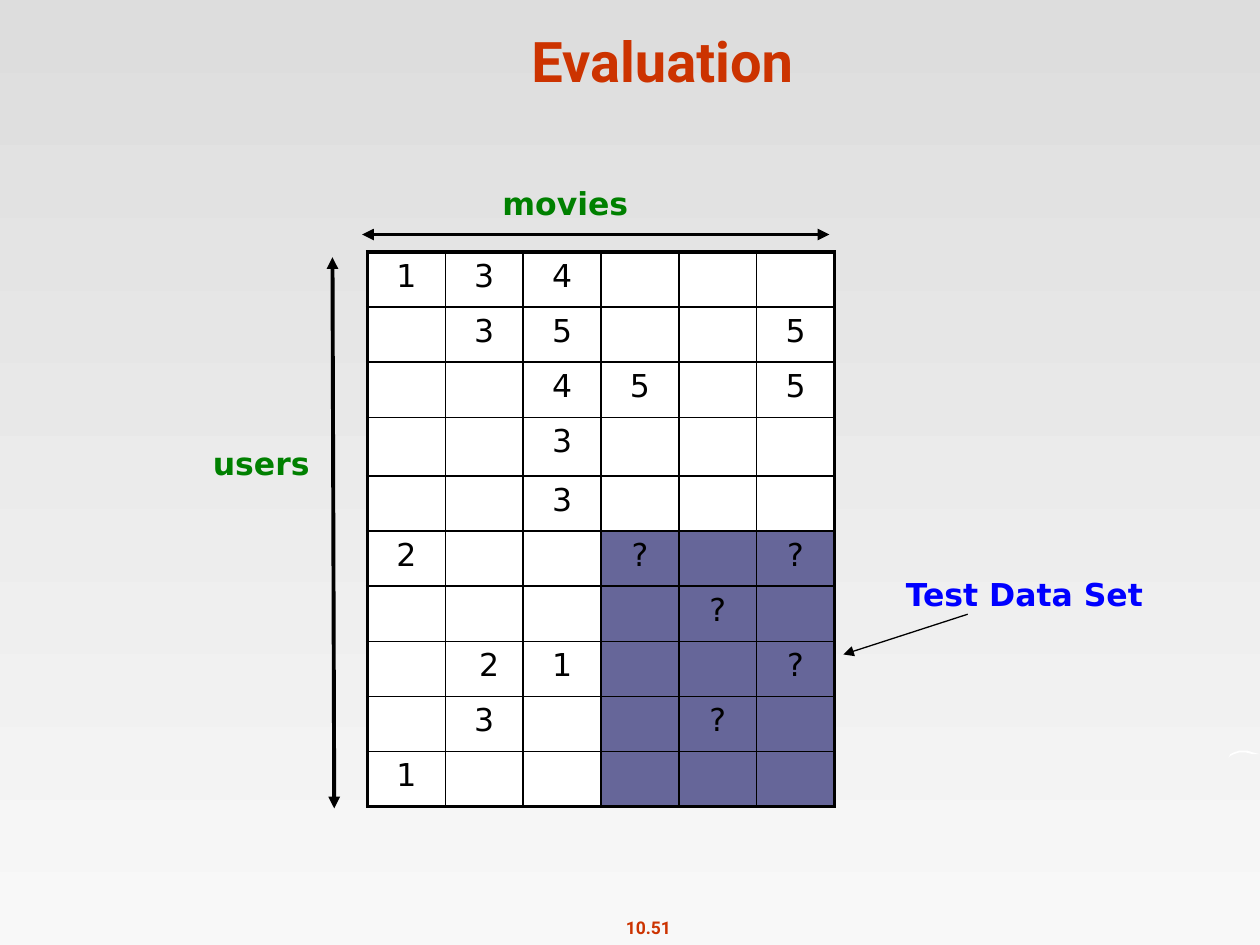
"""Build the Evaluation slide: a user-by-movie rating matrix with its test data set."""
from lxml.etree import SubElement
from pptx import Presentation
from pptx.dml.color import RGBColor
from pptx.enum.shapes import MSO_CONNECTOR as Connector
from pptx.enum.text import MSO_ANCHOR as Anchor, MSO_AUTO_SIZE as AutoSize, PP_ALIGN as Align
from pptx.oxml.ns import qn
from pptx.util import Pt

hex_color = RGBColor.from_string


def write(frame, text, size, font, color, bold=True, align=Align.CENTER):
    paragraph = frame.paragraphs[0]
    paragraph.alignment = align
    run = paragraph.add_run()
    run.text = text
    run.font.size, run.font.name, run.font.bold = Pt(size), font, bold
    run.font.color.rgb = hex_color(color)


prs = Presentation()
prs.slide_width, prs.slide_height = Pt(720), Pt(540)
slide = prs.slides.add_slide(prs.slide_layouts[5])
shapes = slide.shapes

background = slide.background.fill
background.gradient()
background.gradient_angle = 270
for stop, color in zip(background.gradient_stops, ("DDDDDD", "F8F8F8")):
    stop.color.rgb = hex_color(color)

swoosh_points = [
    (702, 432.7), (703, 430.9), (705, 429.6), (707.5, 428.8), (710, 428.6),
    (713, 429.2), (716, 429.9), (720, 430.6), (719.3, 431.3), (716, 430.8),
    (712, 430.1), (708, 430.1), (705, 430.9), (703, 432),
]
builder = shapes.build_freeform(*swoosh_points[0], scale=Pt(1))
builder.add_line_segments(swoosh_points[1:], close=True)
swoosh = builder.convert_to_shape()
swoosh.shadow.inherit = False
swoosh.fill.solid()
swoosh.fill.fore_color.rgb = hex_color("FFFFFF")
swoosh.line.fill.background()

title = shapes.title
title.left, title.top, title.width, title.height = Pt(60.5), Pt(9.4), Pt(636), Pt(48)
title.text_frame.auto_size = AutoSize.NONE
title.text_frame.vertical_anchor = Anchor.BOTTOM
write(title.text_frame, "Evaluation", 32, "Roboto", "CC3300")

ratings = [
    ["1", "3", "4", "", "", ""],
    ["", "3", "5", "", "", "5"],
    ["", "", "4", "5", "", "5"],
    ["", "", "3", "", "", ""],
    ["", "", "3", "", "", ""],
    ["2", "", "", "?", "", "?"],
    ["", "", "", "", "?", ""],
    ["", " 2", "1", "", "", "?"],
    ["", "3", "", "", "?", ""],
    ["1", "", "", "", "", ""],
]
row_count, column_count = len(ratings), len(ratings[0])
matrix = shapes.add_table(row_count, column_count, Pt(210), Pt(144), Pt(267), Pt(317)).table
matrix.first_row = matrix.horz_banding = False
for column in matrix.columns:
    column.width = Pt(44.5)
for r, row in enumerate(ratings):
    matrix.rows[r].height = Pt(33.5 if r == 3 else 31.5)
    for c, rating in enumerate(row):
        cell = matrix.cell(r, c)
        outer_edges = {"L": c == 0, "R": c == column_count - 1, "T": r == 0, "B": r == row_count - 1}
        for side, is_outer in outer_edges.items():
            border = SubElement(cell._tc.get_or_add_tcPr(), qn(f"a:ln{side}"), w=str(Pt(2.25 if is_outer else 1)))
            SubElement(SubElement(border, qn("a:solidFill")), qn("a:srgbClr"), val="000000")
        cell.fill.solid()
        cell.fill.fore_color.rgb = hex_color("666699" if r >= 5 and c >= 3 else "FFFFFF")
        if rating:
            write(cell.text_frame, rating, 18, "DejaVu Sans", "000000", bold=False)
        else:
            cell.text_frame.paragraphs[0].font.size = Pt(18)

labels = [
    ("10.51", 350, 520.5, 41, 19.5, 10, "Roboto", "CC3300", False, Align.CENTER),
    ("Test Data Set", 510.5, 325, 151, 29, 18, "DejaVu Sans", "0000FF", False, Align.LEFT),
    ("users", 79, 250, 140.5, 29, 18, "DejaVu Sans", "008000", True, Align.CENTER),
    ("movies", 280, 101.8, 87, 29, 18, "DejaVu Sans", "008000", False, Align.LEFT),
]
for text, left, top, width, height, size, font, color, wrap, align in labels:
    frame = shapes.add_textbox(Pt(left), Pt(top), Pt(width), Pt(height)).text_frame
    frame.word_wrap = wrap
    frame.auto_size = AutoSize.SHAPE_TO_FIT_TEXT
    write(frame, text, size, font, color, align=align)

arrows = [
    (190, 147, 191, 462, 2.25, ("headEnd", "tailEnd")),
    (207, 134, 474, 134, 2.25, ("headEnd", "tailEnd")),
    (553, 351, 482, 374, 0.75, ("tailEnd",)),
]
for x1, y1, x2, y2, weight, ends in arrows:
    arrow = shapes.add_connector(Connector.STRAIGHT, Pt(x1), Pt(y1), Pt(x2), Pt(y2))
    arrow.line.width = Pt(weight)
    arrow.line.color.rgb = hex_color("000000")
    for end in ends:
        SubElement(arrow.line._get_or_add_ln(), qn(f"a:{end}"), type="triangle")
    SubElement(arrow._element.spPr, qn("a:effectLst"))

prs.save("out.pptx")
